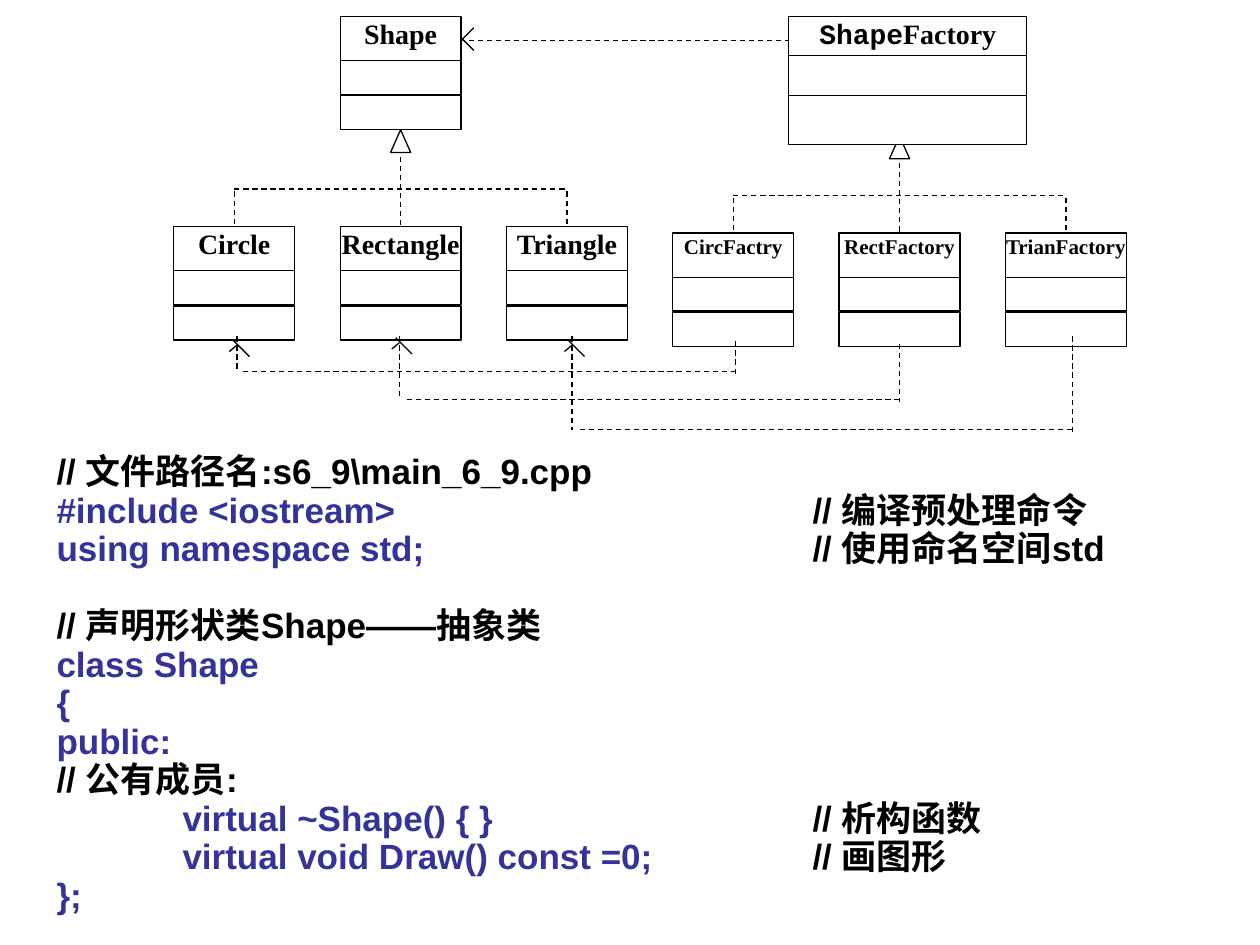
from lxml import etree
from pptx import Presentation
from pptx import util as u
from pptx.dml.color import RGBColor
from pptx.enum import dml, shapes, text
from pptx.oxml import ns

COLORS = {"ink": "000000", "paper": "FFFFFF", "code": "333399"}
SERIF, MONO, SANS = "Times New Roman", "Courier New", "Arial"
BOX_WIDTH, COLUMN_STEP = 0.96, 1.32
CLASS_ROWS = [(0, 0.36), (0.35, 0.27), (0.63, 0.27)]
FACTORY_ROWS = [(0, 0.36), (0.31, 0.37), (0.63, 0.39)]

CLASSES = ["Circle", "Rectangle", "Triangle"]
FACTORIES = ["CircFactry", "RectFactory", "TrianFactory"]

DEPENDENCIES = [
    dict(source=5.84, start=2.71, bar=2.95, target=1.88, head=2.74),
    dict(source=7.14, start=2.73, bar=3.17, target=3.17, head=2.72),
    dict(source=8.51, start=2.67, bar=3.41, target=4.54, head=2.74),
]

CODE = [
    [("// 文件路径名:s6_9\\main_6_9.cpp", "ink")],
    [("#include <iostream>\t", "code"), ("// 编译预处理命令", "ink")],
    [("using namespace std;\t", "code"), ("// 使用命名空间std", "ink")],
    [("// 声明形状类Shape——抽象类", "ink")],
    [("class Shape", "code")],
    [("{", "code")],
    [("public:", "code")],
    [("// 公有成员:", "ink")],
    [("\tvirtual ~Shape() { }\t", "code"), ("// 析构函数", "ink")],
    [("\tvirtual void Draw() const =0;\t", "code"), ("// 画图形", "ink")],
    [("};", "code")],
]
SECTION_START = 3


def color(name):
    return RGBColor.from_string(COLORS[name])


def add_run(paragraph, content, font=SERIF, size=16, ink="ink"):
    run = paragraph.add_run()
    run.text = content
    run.font.name = font
    run.font.size = u.Pt(size)
    run.font.bold = True
    run.font.color.rgb = color(ink)


def add_line(slide, x1, y1, x2, y2, dashed=True):
    line = slide.shapes.add_connector(
        shapes.MSO_CONNECTOR.STRAIGHT,
        u.Inches(x1), u.Inches(y1), u.Inches(x2), u.Inches(y2))
    line.line.color.rgb = color("ink")
    line.line.width = u.Pt(0.75)
    if dashed:
        line.line.dash_style = dml.MSO_LINE.DASH
    properties = line._element.find(ns.qn("p:spPr"))
    etree.SubElement(properties, ns.qn("a:effectLst"))


def add_outlined(slide, kind, left, top, width, height):
    shape = slide.shapes.add_shape(
        kind, u.Inches(left), u.Inches(top), u.Inches(width), u.Inches(height))
    shape.shadow.inherit = False
    shape.fill.solid()
    shape.fill.fore_color.rgb = color("paper")
    shape.line.color.rgb = color("ink")
    shape.line.width = u.Pt(0.75)
    return shape


def add_class(slide, left, top, name, width=BOX_WIDTH, rows=CLASS_ROWS,
              size=16):
    boxes = [add_outlined(slide, shapes.MSO_SHAPE.RECTANGLE,
                          left, top + offset, width, height)
             for offset, height in rows]
    frame = boxes[0].text_frame
    frame.word_wrap = False
    frame.vertical_anchor = text.MSO_ANCHOR.TOP
    frame.margin_left = frame.margin_right = 0
    frame.margin_top = frame.margin_bottom = 0
    paragraph = frame.paragraphs[0]
    paragraph.alignment = text.PP_ALIGN.CENTER
    for content, font in name:
        add_run(paragraph, content, font=font, size=size)


def add_family(slide, left, top, names, size=16):
    first, middle, last = (left + 0.48 + i * COLUMN_STEP for i in range(3))
    add_line(slide, first, top - 0.3, last, top - 0.3)
    for x in (first, last):
        add_line(slide, x, top - 0.28, x, top + 0.02)
    add_line(slide, middle, top - 0.77, middle, top)
    add_outlined(slide, shapes.MSO_SHAPE.ISOSCELES_TRIANGLE,
                 middle - 0.08, top - 0.77, 0.16, 0.18)
    for i, name in enumerate(names):
        add_class(slide, left + i * COLUMN_STEP, top, [(name, SERIF)],
                  size=size)


def add_dependency(slide, source, start, bar, target, head):
    add_line(slide, source, start, source, bar + 0.02)
    add_line(slide, source, bar, target + 0.04, bar)
    add_line(slide, target, 2.67, target, bar)
    add_line(slide, target - 0.06, head + 0.05, target, head, dashed=False)
    add_line(slide, target - 0.03, head - 0.04, target + 0.1, head + 0.09,
             dashed=False)


def add_creation_arrow(slide):
    add_line(slide, 6.7, 0.32, 3.67, 0.32)
    for y in (0.22, 0.4):
        add_line(slide, 3.76, y, 3.67, 0.31, dashed=False)


def add_tab_stops(paragraph, positions):
    properties = paragraph._p.get_or_add_pPr()
    stops = etree.SubElement(properties, ns.qn("a:tabLst"))
    for position in positions:
        etree.SubElement(stops, ns.qn("a:tab"),
                         pos=str(u.Inches(position)), algn="l")


def add_code(slide):
    box = slide.shapes.add_textbox(
        u.Inches(0.35), u.Inches(3.55), u.Inches(9.29), u.Inches(3.8))
    frame = box.text_frame
    frame.word_wrap = True
    for i, runs in enumerate(CODE):
        paragraph = frame.add_paragraph() if i else frame.paragraphs[0]
        paragraph.line_spacing = u.Pt(22)
        if i == SECTION_START:
            paragraph.space_before = u.Pt(22)
        add_tab_stops(paragraph, [1, 6])
        for content, ink in runs:
            add_run(paragraph, content, font=SANS, size=20, ink=ink)


def main():
    presentation = Presentation()
    presentation.slide_width = u.Inches(10)
    presentation.slide_height = u.Inches(7.5)
    slide = presentation.slides.add_slide(presentation.slide_layouts[6])
    add_creation_arrow(slide)
    add_family(slide, 1.38, 1.8, CLASSES)
    add_family(slide, 5.34, 1.85, FACTORIES, size=12)
    add_class(slide, 2.7, 0.13, [("Shape", SERIF)])
    add_class(slide, 6.26, 0.13, [("Shape", MONO), ("Factory", SERIF)],
              width=1.89, rows=FACTORY_ROWS)
    for dependency in DEPENDENCIES:
        add_dependency(slide, **dependency)
    add_code(slide)
    presentation.save("out.pptx")


if __name__ == "__main__":
    main()
